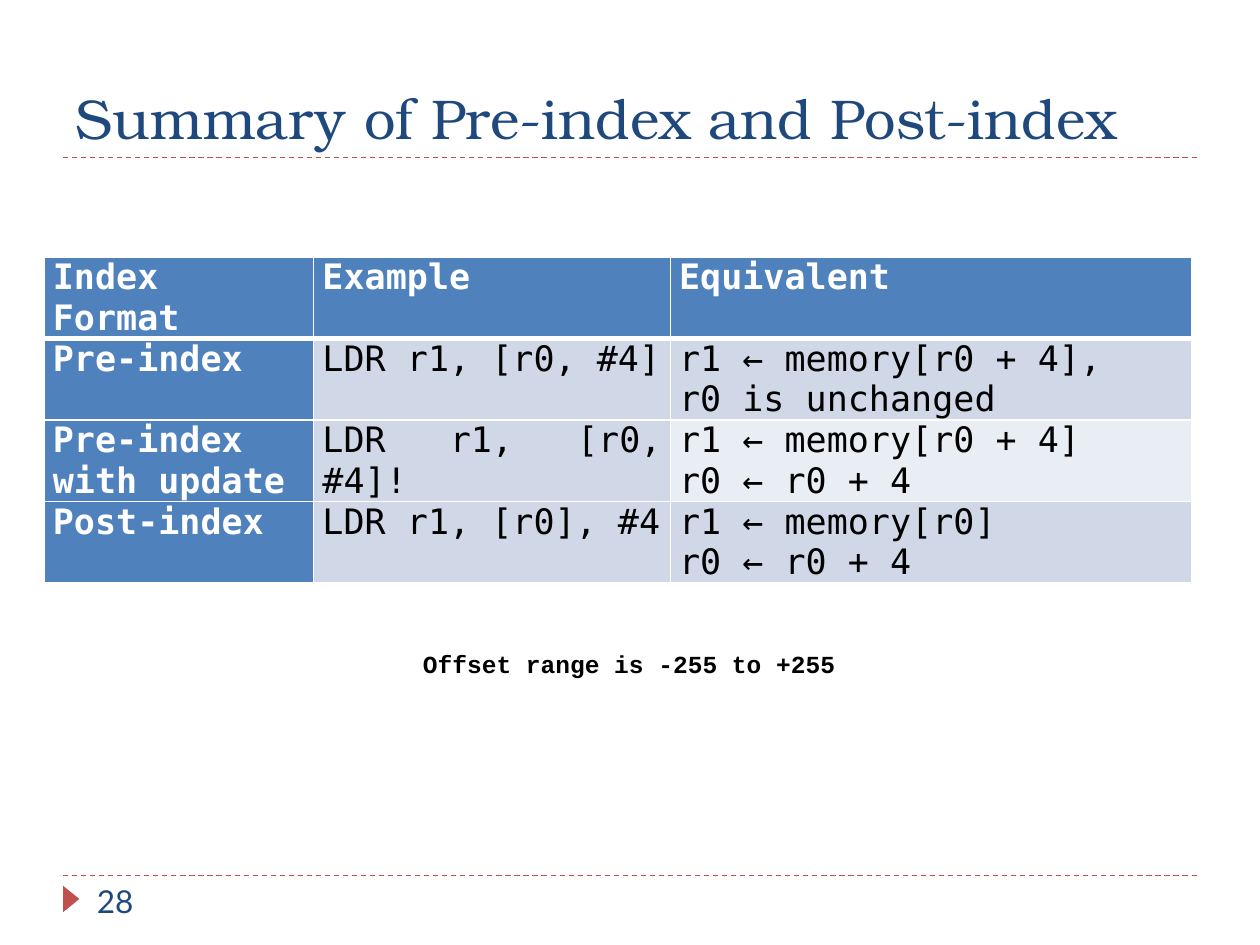
from lxml.etree import SubElement
from pptx import Presentation
from pptx.dml.color import RGBColor
from pptx.enum.dml import MSO_LINE
from pptx.enum.shapes import MSO_CONNECTOR, MSO_SHAPE
from pptx.enum.text import MSO_ANCHOR, MSO_AUTO_SIZE, PP_ALIGN
from pptx.oxml.ns import qn
from pptx.util import Inches, Pt

NAVY, BLUE, RED = "1F497D", "4F81BD", "C0504D"
WHITE, BLACK = "FFFFFF", "000000"
BAND_DARK, BAND_LIGHT = "D0D8E8", "E9EDF4"

HEADERS = ["Index Format", "Example", "Equivalent"]
ROWS = [
    ["Pre-index", "LDR r1, [r0, #4]", "r1 ← memory[r0 + 4],\nr0 is unchanged"],
    ["Pre-index with update", "LDR r1, [r0, #4]!", "r1 ← memory[r0 + 4]\nr0 ← r0 + 4"],
    ["Post-index", "LDR r1, [r0], #4", "r1 ← memory[r0]\nr0 ← r0 + 4"],
]


def color(value):
    return RGBColor.from_string(value)


class SlideBuilder:
    title_font = dict(name="TeX Gyre Bonum", size=Pt(32), bold=False)
    number_font = dict(name="Lato", size=Pt(18), bold=False)
    code_font = dict(name="DejaVu Sans Mono", size=Pt(20))
    note_font = dict(name="Courier New", size=Pt(14), bold=True)
    frame_format = dict(
        margin_left=Inches(0.1), margin_right=Inches(0.1),
        margin_top=Inches(0.05), margin_bottom=Inches(0.05),
        auto_size=MSO_AUTO_SIZE.NONE, word_wrap=True)
    cell_format = dict(
        margin_left=Inches(0.07), margin_right=Inches(0.07),
        margin_top=0, margin_bottom=0, vertical_anchor=MSO_ANCHOR.TOP)

    def __init__(self, deck):
        self.slide = deck.slides.add_slide(deck.slide_layouts[5])
        self.shapes = self.slide.shapes

    def apply(self, target, values):
        for name, value in values.items():
            setattr(target, name, value)

    def fill_text(self, frame, text, font, text_color, align):
        for index, line in enumerate(text.split("\n")):
            para = frame.paragraphs[0] if index == 0 else frame.add_paragraph()
            para.alignment = align
            span = para.add_run()
            span.text = line
            self.apply(span.font, font)
            span.font.color.rgb = color(text_color)

    def title(self, text, left, top, width, height):
        box = self.shapes.title
        self.apply(box, dict(left=Inches(left), top=Inches(top),
                             width=Inches(width), height=Inches(height)))
        self.apply(box.text_frame, self.frame_format)
        box.text_frame.vertical_anchor = MSO_ANCHOR.BOTTOM
        self.fill_text(box.text_frame, text, self.title_font, NAVY, PP_ALIGN.LEFT)

    def text(self, text, left, top, width, height, font, text_color,
             align=PP_ALIGN.LEFT, **frame_values):
        box = self.shapes.add_textbox(
            Inches(left), Inches(top), Inches(width), Inches(height))
        self.apply(box.text_frame, {**self.frame_format, **frame_values})
        self.fill_text(box.text_frame, text, font, text_color, align)

    def rule(self, left, right, top):
        line = self.shapes.add_connector(
            MSO_CONNECTOR.STRAIGHT,
            Inches(left), Inches(top), Inches(right), Inches(top))
        line.line.color.rgb = color(RED)
        line.line.width = Pt(0.75)
        line.line.dash_style = MSO_LINE.DASH
        SubElement(line._element.spPr, qn("a:effectLst"))

    def marker(self, left, top, width, height):
        triangle = self.shapes.add_shape(
            MSO_SHAPE.ISOSCELES_TRIANGLE,
            Inches(left), Inches(top), Inches(width), Inches(height))
        triangle.rotation = 90
        triangle.shadow.inherit = False
        triangle.fill.solid()
        triangle.fill.fore_color.rgb = color(RED)
        triangle.line.fill.background()

    def borders(self, cell, widths):
        properties = cell._tc.get_or_add_tcPr()
        for side, width in widths.items():
            edge = SubElement(properties, qn(f"a:ln{side}"), w=str(Pt(width)))
            fill = SubElement(edge, qn("a:solidFill"))
            SubElement(fill, qn("a:srgbClr"), val=WHITE)

    def table(self, rows, left, top, widths, row_height):
        frame = self.shapes.add_table(
            len(rows), len(widths), Inches(left), Inches(top),
            Inches(sum(widths)), Inches(row_height * len(rows)))
        table = frame.table
        for column, width in zip(table.columns, widths):
            column.width = Inches(width)
        for row_index, row in enumerate(rows):
            table.rows[row_index].height = Inches(row_height)
            for column_index, text in enumerate(row):
                heading = row_index == 0 or column_index == 0
                light = row_index == 2 and column_index == 2
                cell = table.cell(row_index, column_index)
                self.apply(cell, self.cell_format)
                self.borders(cell, dict(
                    L=1, R=1, T=3 if row_index == 1 else 1,
                    B=3 if row_index == 0 else 1))
                cell.fill.solid()
                cell.fill.fore_color.rgb = color(
                    BLUE if heading else BAND_LIGHT if light else BAND_DARK)
                self.fill_text(cell.text_frame, text,
                               {**self.code_font, "bold": heading},
                               WHITE if heading else BLACK, PP_ALIGN.JUSTIFY)


def main():
    deck = Presentation()
    deck.slide_width, deck.slide_height = Inches(10), Inches(7.5)
    page = SlideBuilder(deck)
    for top in (6.95, 1.25):
        page.rule(0.5, 9.5, top)
    page.marker(0.46, 7.07, 0.21, 0.13)
    page.title("Summary of Pre-index and Post-index", 0.5, 0.17, 9, 1.08)
    page.text("28", 0.67, 6.95, 2.17, 0.4, page.number_font, NAVY)
    page.table([HEADERS, *ROWS], 0.35, 2.04, [2.14, 2.83, 4.14], 0.58)
    page.text("Offset range is -255 to +255", 3.25, 5.1, 3.49, 0.34,
              page.note_font, BLACK, PP_ALIGN.CENTER,
              word_wrap=False, auto_size=MSO_AUTO_SIZE.SHAPE_TO_FIT_TEXT)
    deck.save("out.pptx")


if __name__ == "__main__":
    main()
